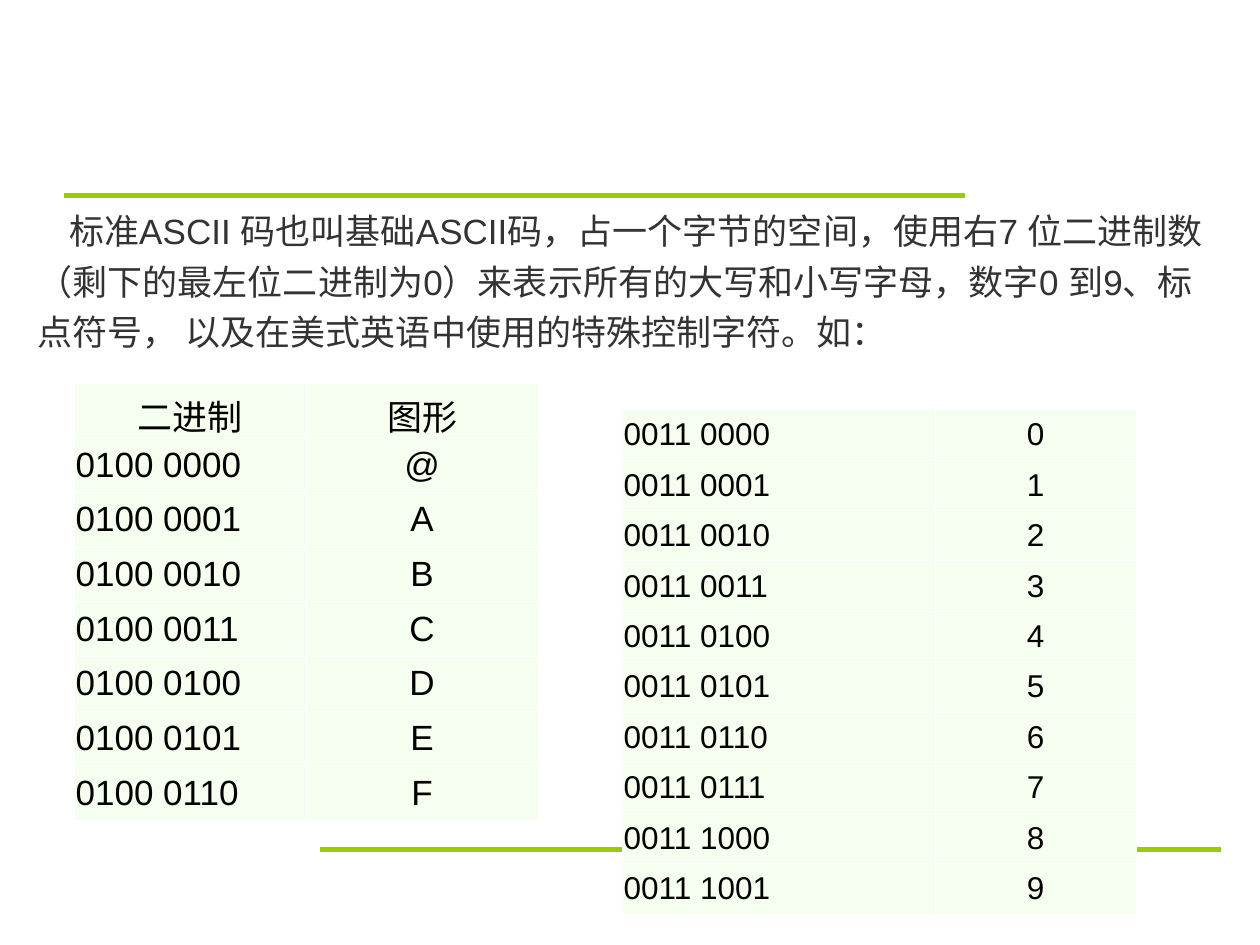
"""Build a slide that explains the standard ASCII code with two code tables."""
from dataclasses import dataclass

from lxml import etree
from pptx import Presentation
from pptx.dml.color import RGBColor
from pptx.enum.shapes import MSO_CONNECTOR
from pptx.enum.text import MSO_ANCHOR, PP_ALIGN
from pptx.oxml.ns import qn
from pptx.util import Inches, Pt

STRAIGHT = MSO_CONNECTOR.STRAIGHT
MIDDLE = MSO_ANCHOR.MIDDLE
LEFT, CENTER = PP_ALIGN.LEFT, PP_ALIGN.CENTER
BLANK_LAYOUT = 6


@dataclass(frozen=True)
class Theme:
    font: str = "Arial"
    rule: str = "99CC00"
    body: str = "333333"
    cell_text: str = "000000"
    cell_fill: str = "F6FFEF"
    border: str = "FFFFFF"
    body_size: float = 20
    small_size: float = 18
    rule_width: float = 3
    border_width: float = 0.45


@dataclass(frozen=True)
class Rule:
    left: float
    top: float
    width: float = 7.15


@dataclass(frozen=True)
class CodeTable:
    left: float
    top: float
    columns: tuple[float, float]
    row_height: float
    size: float
    symbols: str
    header: tuple[str, ...] = ()


THEME = Theme()
RULES = (Rule(0.51, 1.55), Rule(2.54, 6.74))
TABLES = (
    CodeTable(0.59, 3.04, (1.84, 1.84), 0.43, THEME.body_size, "@ABCDEF", ("二进制", "图形")),
    CodeTable(4.94, 3.25, (2.48, 1.6), 0.4, THEME.small_size, "0123456789"),
)
INTRO = (
    "标准ASCII 码也叫基础ASCII码，占一个字节的空间，使用右7 位二进制数"
    "（剩下的最左位二进制为0）来表示所有的大写和小写字母，数字0 到9、标点符号， "
    "以及在美式英语中使用的特殊控制字符。如："
)
CELL_FORMAT = {
    "margin_left": Inches(0.01),
    "margin_right": Inches(0.01),
    "margin_top": Inches(0.05),
    "margin_bottom": Inches(0.05),
    "vertical_anchor": MIDDLE,
}


def write_text(para, text: str, size: float, color: str) -> None:
    """Add one formatted span to a paragraph."""
    span = para.add_run()
    span.text = text
    for name, value in {"name": THEME.font, "size": Pt(size)}.items():
        setattr(span.font, name, value)
    span.font.color.rgb = RGBColor.from_string(color)


def draw_rule(page, rule: Rule) -> None:
    """Draw a horizontal accent line without a shadow."""
    top = Inches(rule.top)
    line = page.shapes.add_connector(
        STRAIGHT, Inches(rule.left), top, Inches(rule.left + rule.width), top
    )
    line.line.color.rgb = RGBColor.from_string(THEME.rule)
    line.line.width = Pt(THEME.rule_width)
    etree.SubElement(line._element.spPr, qn("a:effectLst"))


def draw_intro(page) -> None:
    """Place the introduction with an indented first line."""
    box = page.shapes.add_textbox(Inches(0.2), Inches(1.55), Inches(9.55), Inches(1.3))
    box.text_frame.word_wrap = True
    para = box.text_frame.paragraphs[0]
    para._p.get_or_add_pPr().set("indent", str(Inches(0.25)))
    para.line_spacing = 1.2
    write_text(para, INTRO, THEME.body_size, THEME.body)


def border_cell(cell) -> None:
    """Put a thin border on all four sides of a cell."""
    properties = cell._tc.get_or_add_tcPr()
    for side in ("lnL", "lnR", "lnT", "lnB"):
        edge = etree.SubElement(properties, qn(f"a:{side}"), w=str(Pt(THEME.border_width)))
        fill = etree.SubElement(edge, qn("a:solidFill"))
        etree.SubElement(fill, qn("a:srgbClr"), val=THEME.border)


def fill_cell(cell, text: str, size: float, alignment) -> None:
    """Format a table cell and write its text."""
    for name, value in CELL_FORMAT.items():
        setattr(cell, name, value)
    border_cell(cell)
    cell.fill.solid()
    cell.fill.fore_color.rgb = RGBColor.from_string(THEME.cell_fill)
    para = cell.text_frame.paragraphs[0]
    para.alignment = alignment
    write_text(para, text, size, THEME.cell_text)


def code_row(symbol: str) -> tuple[str, str]:
    """Pair the eight-bit code of a symbol with the symbol."""
    code = ord(symbol)
    return f"{code >> 4:04b} {code & 15:04b}", symbol


def draw_table(page, spec_table: CodeTable) -> None:
    """Draw a table of binary codes and their symbols."""
    rows = [code_row(symbol) for symbol in spec_table.symbols]
    if spec_table.header:
        rows.insert(0, spec_table.header)
    table = page.shapes.add_table(
        len(rows), len(spec_table.columns),
        Inches(spec_table.left), Inches(spec_table.top),
        Inches(sum(spec_table.columns)), Inches(spec_table.row_height * len(rows)),
    ).table
    table.first_row = table.horz_banding = False
    for column, width in zip(table.columns, spec_table.columns):
        column.width = Inches(width)
    for row_index, values in enumerate(rows):
        table.rows[row_index].height = Inches(spec_table.row_height)
        for column_index, text in enumerate(values):
            is_code = column_index == 0 and values != spec_table.header
            cell = table.cell(row_index, column_index)
            fill_cell(cell, text, spec_table.size, LEFT if is_code else CENTER)


def main() -> None:
    """Build and save the deck."""
    deck = Presentation()
    deck.slide_width, deck.slide_height = Inches(10), Inches(7.5)
    page = deck.slides.add_slide(deck.slide_layouts[BLANK_LAYOUT])
    for rule in RULES:
        draw_rule(page, rule)
    draw_intro(page)
    for code_table in TABLES:
        draw_table(page, code_table)
    deck.save("out.pptx")


if __name__ == "__main__":
    main()
